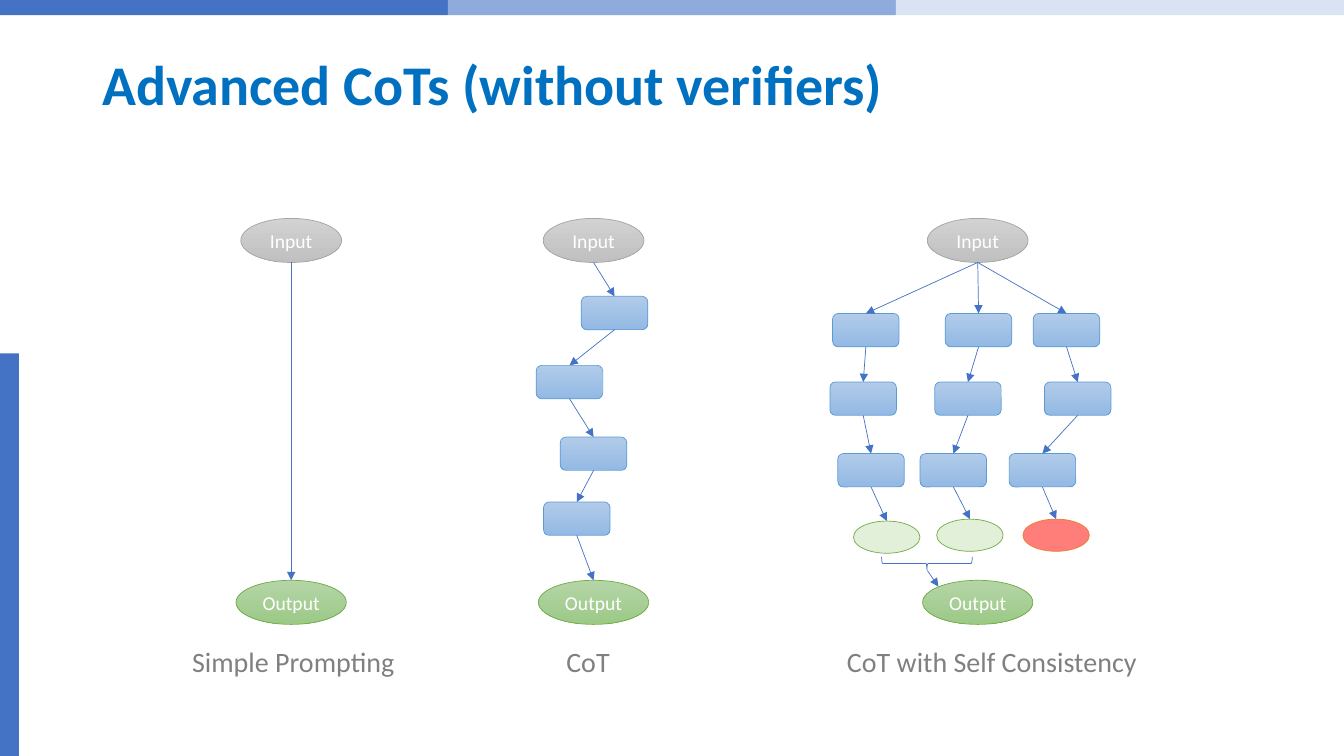
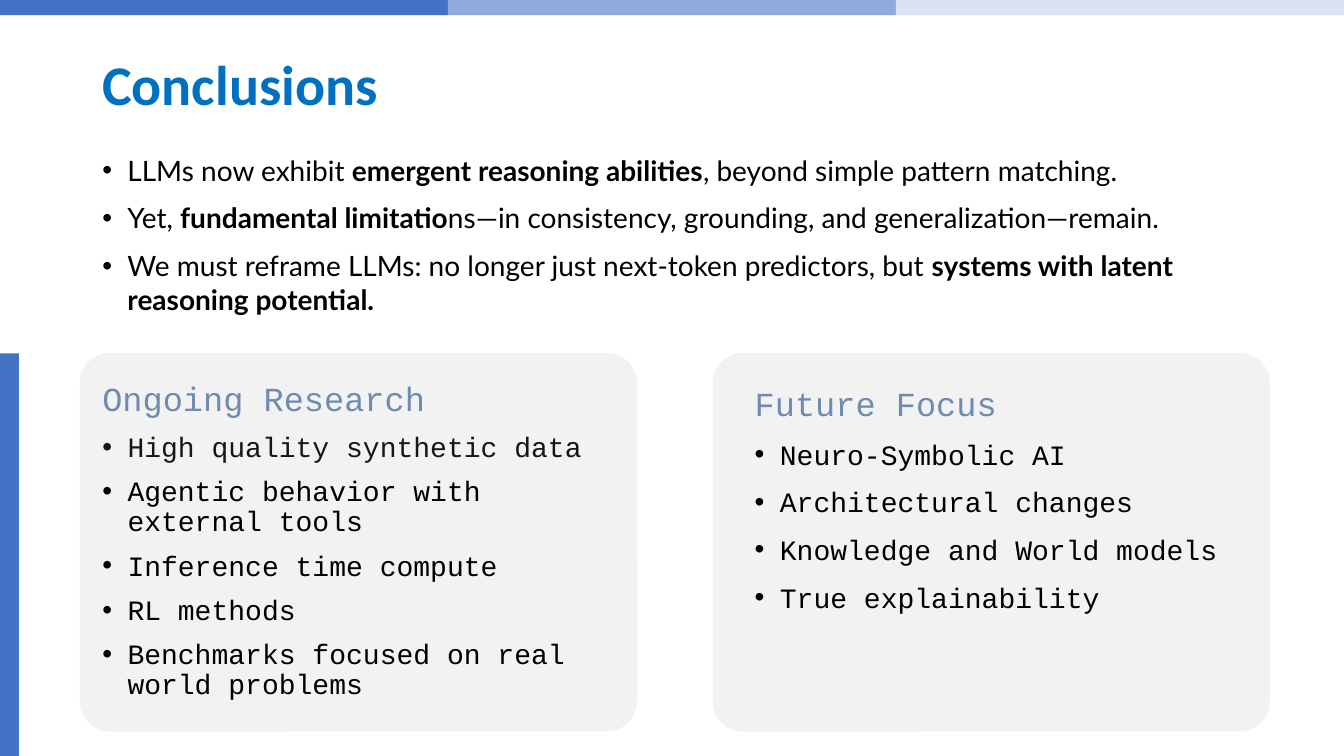
from pptx import Presentation
from pptx.dml.color import RGBColor
from pptx.enum.shapes import MSO_CONNECTOR as Connector, MSO_SHAPE as Shape
from pptx.enum.text import MSO_ANCHOR as Anchor, PP_ALIGN as Align
from pptx.oxml.ns import qn
from pptx.util import Pt
from lxml.etree import SubElement

BLUE, TITLE_BLUE, HEADING_BLUE = "4472C4", "0070C0", "708BB0"
BLACK, INK, GREY, WHITE, CARD = "000000", "161616", "808080", "FFFFFF", "F2F2F2"
BANDS = [BLUE, "8FAADC", "DAE3F3"]
SLIDE_W, SLIDE_H = 960, 540
THIN = 0.5

NODES = {
    "input": (Shape.OVAL, 72, 31.5, ("D2D2D2", "C0C0C0"), "A5A5A5", "Input"),
    "output": (Shape.OVAL, 78.8, 31.5, ("B5D5A7", "9CC987"), "70AD47", "Output"),
    "step": (Shape.ROUNDED_RECTANGLE, 47.5, 23.8, ("B1CBE9", "93B9E4"), "5B9BD5", ""),
    "agreed": (Shape.OVAL, 47.5, 23, ("E2F0D9",), "70AD47", ""),
    "rejected": (Shape.OVAL, 47.5, 23, ("FF7E79",), "ED7D31", ""),
}
INPUT_TOP, OUTPUT_TOP, CAPTION_TOP = 156, 414.5, 456.5

DIAGRAMS = [
    {"caption": ("Simple Prompting", 209.5, 160.5), "center": 208, "chains": [[]]},
    {"caption": ("CoT", 420, 45.5), "center": 424, "chains": [
        [("step", 439, 211.7), ("step", 406.8, 261), ("step", 424, 312.2), ("step", 412, 358.6)],
    ]},
    {"caption": ("CoT with Self Consistency", 708.5, 223), "center": 698.4, "voted": True, "chains": [
        [("step", 618.5, 223.9), ("step", 616.6, 272.9), ("step", 622.2, 324), ("agreed", 633.4, 372.2)],
        [("step", 699, 223.9), ("step", 691.4, 272.9), ("step", 681, 324), ("agreed", 692.8, 370.8)],
        [("step", 761.8, 223.9), ("step", 769.8, 272.9), ("step", 744.6, 324), ("rejected", 754.4, 370.8)],
    ]},
]

CONCLUSIONS = [
    "LLMs now exhibit **emergent reasoning abilities**, beyond simple pattern matching.",
    "Yet, **fundamental limitatio**ns—in consistency, grounding, and generalization—remain.",
    "We must reframe LLMs: no longer just next-token predictors, but "
    "**systems with latent reasoning potential.**",
]
PANELS = [
    {"card_left": 57, "text": (66, 270, 362, 241), "spacing": 0.9, "heading": "Ongoing Research",
     "items": [("High quality synthetic data", INK),
               ("Agentic behavior with external tools", BLACK),
               ("Inference time compute", BLACK),
               ("RL methods", BLACK),
               ("Benchmarks focused on real world problems", BLACK)]},
    {"card_left": 509, "text": (532, 270, 393, 253), "spacing": 1, "heading": "Future Focus",
     "items": [("Neuro-Symbolic AI", BLACK),
               ("Architectural changes", BLACK),
               ("Knowledge and World models", BLACK),
               ("True explainability", BLACK)]},
]


def color(value):
    """Turn a hex string into a colour."""
    return RGBColor.from_string(value)


def add_shape(page, kind, left, top, width, height, fills=(), line=None):
    """Add a preset shape with no fill, a solid fill or a vertical gradient."""
    shape = page.shapes.add_shape(kind, Pt(left), Pt(top), Pt(width), Pt(height))
    shape.shadow.inherit = False
    if len(fills) > 1:
        shape.fill.gradient()
        shape.fill.gradient_angle = 270
        for stop, value in zip(shape.fill.gradient_stops, fills):
            stop.color.rgb = color(value)
    elif fills:
        shape.fill.solid()
        shape.fill.fore_color.rgb = color(fills[0])
    else:
        shape.fill.background()
    if line:
        shape.line.color.rgb = color(line)
        shape.line.width = Pt(THIN)
    else:
        shape.line.fill.background()
    return shape


def style(para, size, face, value, bold=None):
    """Set the font of a whole paragraph."""
    font = para.font
    font.size, font.name, font.bold = Pt(size), face, bold
    font.color.rgb = color(value)


def add_bullet(para):
    """Give a paragraph a hanging round bullet."""
    props = para._p.get_or_add_pPr()
    props.set("marL", str(Pt(18)))
    props.set("indent", str(-Pt(18)))
    SubElement(props, qn("a:buFont")).set("typeface", "Arial")
    SubElement(props, qn("a:buChar")).set("char", "•")


def add_text(page, left, top, width, height, lines, spacing=1, wrap=True):
    """Add a text box from (text, size, face, colour, bulleted) lines; ** marks bold."""
    box = page.shapes.add_textbox(Pt(left), Pt(top), Pt(width), Pt(height))
    frame = box.text_frame
    frame.word_wrap = wrap
    for index, (text, size, face, value, bulleted) in enumerate(lines):
        para = frame.add_paragraph() if index else frame.paragraphs[0]
        para.line_spacing = spacing
        if index:
            para.space_before = Pt(10)
        if bulleted:
            add_bullet(para)
        style(para, size, face, value)
        for part, words in enumerate(text.split("**")):
            if words:
                span = para.add_run()
                span.text = words
                if part % 2:
                    span.font.bold = True
    return frame


def add_page(deck, title):
    """Add a blank slide with the shared bands and title."""
    page = deck.slides.add_slide(deck.slide_layouts[6])
    band_w = SLIDE_W / len(BANDS)
    for index, fill in enumerate(BANDS):
        add_shape(page, Shape.RECTANGLE, index * band_w, 0, band_w, 10.8, [fill])
    add_shape(page, Shape.RECTANGLE, 0, 252.5, 13.5, SLIDE_H - 252.5, [BLUE])
    frame = add_text(page, 66, 29, 828, 67.5, [(title, 40, "Calibri", TITLE_BLUE, False)], 0.9)
    frame.vertical_anchor = Anchor.MIDDLE
    frame.paragraphs[0].font.bold = True
    return page


def add_node(page, kind, center, top):
    """Add one node of a diagram, centred on a given x."""
    preset, width, height, fills, line, label = NODES[kind]
    node = add_shape(page, preset, center - width / 2, top, width, height, fills, line)
    if label:
        frame = node.text_frame
        frame.word_wrap = False
        frame.vertical_anchor = Anchor.MIDDLE
        para = frame.paragraphs[0]
        para.text, para.alignment = label, Align.CENTER
        style(para, 14, "Calibri", WHITE)
    return node


def add_arrow(page, x1, y1, x2, y2):
    """Add a thin straight arrow."""
    arrow = page.shapes.add_connector(Connector.STRAIGHT, x1, y1, x2, y2)
    arrow.line.color.rgb = color(BLUE)
    arrow.line.width = Pt(THIN)
    SubElement(arrow.line._get_or_add_ln(), qn("a:tailEnd")).set("type", "triangle")
    SubElement(arrow._element.spPr, qn("a:effectLst"))
    return arrow


def link(page, upper, lower):
    """Point an arrow from the bottom of one node to the top of the next."""
    arrow = add_arrow(page, upper.left + upper.width // 2, upper.top + upper.height,
                      lower.left + lower.width // 2, lower.top)
    if upper.auto_shape_type == Shape.ROUNDED_RECTANGLE:
        arrow.begin_connect(upper, 2)
    arrow.end_connect(lower, 0)


def add_diagram(page, diagram):
    """Draw the nodes, arrows and caption of one prompting scheme."""
    center, voted = diagram["center"], diagram.get("voted")
    start = add_node(page, "input", center, INPUT_TOP)
    end = add_node(page, "output", center, OUTPUT_TOP)
    for chain in diagram["chains"]:
        nodes = [start] + [add_node(page, *spot) for spot in chain]
        if not voted:
            nodes.append(end)
        for upper, lower in zip(nodes, nodes[1:]):
            link(page, upper, lower)
    if voted:
        brace = add_shape(page, Shape.RIGHT_BRACE, 657.4, 370.1, 9.4, 64.8, line=BLUE)
        brace.rotation = 90
        add_arrow(page, Pt(662.4), Pt(407.5), Pt(670.3), Pt(419))
    text, middle, width = diagram["caption"]
    frame = add_text(page, middle - width / 2, CAPTION_TOP, width, 31.5,
                     [(text, 20, "Calibri", GREY, False)], wrap=False)
    frame.paragraphs[0].alignment = Align.CENTER


def add_panel(page, panel):
    """Draw a rounded card with a heading and a bulleted list."""
    card = add_shape(page, Shape.ROUNDED_RECTANGLE, panel["card_left"], 252, 398, 270.5, [CARD])
    card.adjustments[0] = 0.08
    lines = [(panel["heading"], 24, "Courier New", HEADING_BLUE, False)]
    lines += [(text, 20, "Courier New", value, True) for text, value in panel["items"]]
    add_text(page, *panel["text"], lines, panel["spacing"])


def main():
    """Build and save the deck."""
    deck = Presentation()
    deck.slide_width, deck.slide_height = Pt(SLIDE_W), Pt(SLIDE_H)
    page = add_page(deck, "Advanced CoTs (without verifiers)")
    for diagram in DIAGRAMS:
        add_diagram(page, diagram)
    page = add_page(deck, "Conclusions")
    add_text(page, 66, 106, 842, 137.5, [(text, 20, "Lato", BLACK, True) for text in CONCLUSIONS])
    for panel in PANELS:
        add_panel(page, panel)
    deck.save("out.pptx")


if __name__ == "__main__":
    main()
